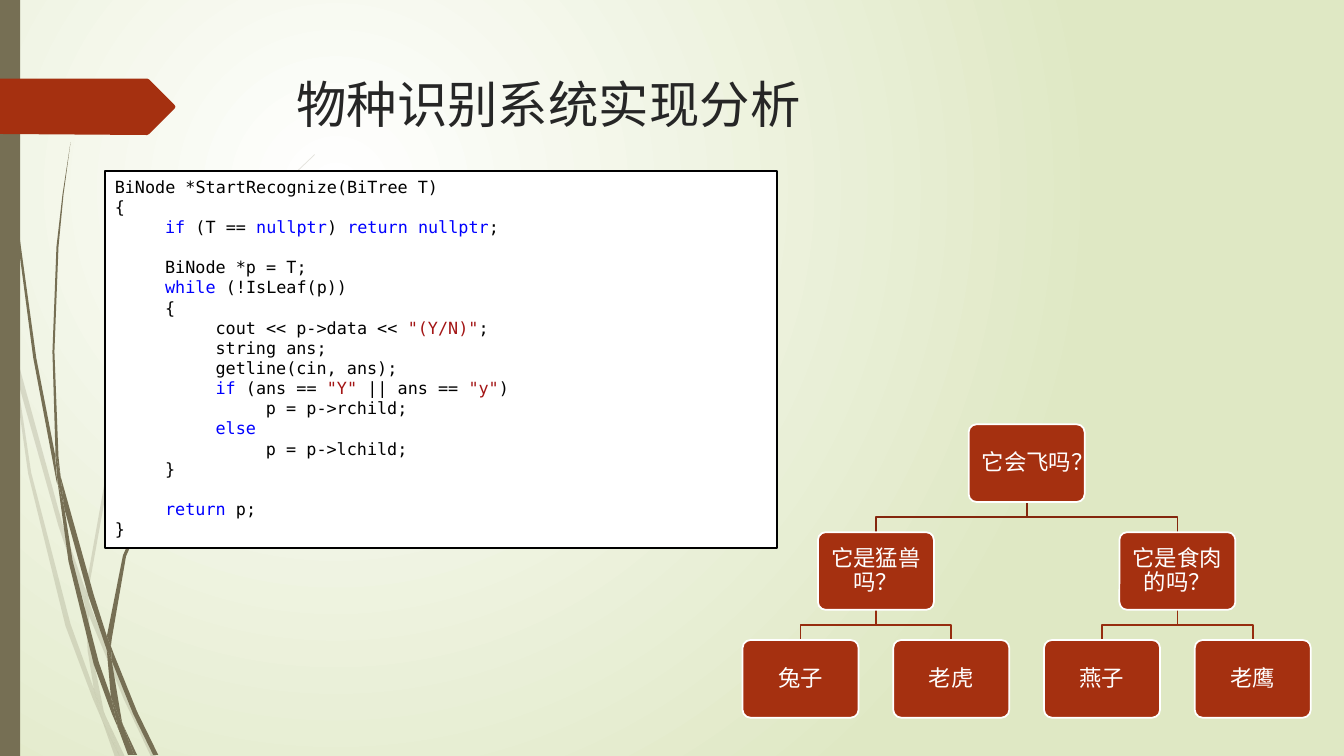
from lxml import etree
from pptx import Presentation, util as u
from pptx.dml.color import RGBColor
from pptx.enum import shapes, text
from pptx.oxml.ns import qn

WHITE = RGBColor(0xFF, 0xFF, 0xFF)
BLACK = RGBColor(0, 0, 0)
PALE_GREEN = RGBColor(0xDF, 0xE8, 0xC4)
OLIVE = RGBColor(0x76, 0x6F, 0x54)
RUST = RGBColor(0xA5, 0x30, 0x10)
UPPER_BRANCH = RGBColor(0x84, 0x26, 0x0D)
LOWER_BRANCH = RGBColor(0x96, 0x2C, 0x0F)
TITLE_GRAY = RGBColor(0x26, 0x26, 0x26)
KEYWORD = RGBColor(0, 0, 0xFF)
STRING = RGBColor(0xA3, 0x15, 0x15)

TITLE_FONT = {"name": "TeX Gyre Adventor", "size": u.Pt(36)}
CODE_FONT = {"name": "DejaVu Sans Mono", "size": u.Pt(12)}
NODE_FONT = {"name": "TeX Gyre Adventor", "size": u.Pt(16)}
HUNDREDTH = u.Inches(0.01)


def paint(shape, fill=None, line=None):
    """Set fill and outline colours; None means no paint."""
    shape.shadow.inherit = False
    if fill is None:
        shape.fill.background()
    else:
        shape.fill.solid()
        shape.fill.fore_color.rgb = fill
    if line is None:
        shape.line.fill.background()
    else:
        shape.line.color.rgb = line
        shape.line.width = u.Pt(1.25)


def write(paragraph, words, font, color):
    """Add a run with the given font values and colour."""
    run = paragraph.add_run()
    run.text = words
    for name, value in font.items():
        setattr(run.font, name, value)
    run.font.color.rgb = color


presentation = Presentation()
presentation.slide_width = u.Inches(13.33)
presentation.slide_height = u.Inches(7.5)
slide = presentation.slides.add_slide(presentation.slide_layouts[6])

# Radial background
background = slide.background.fill
background.gradient()
for stop, position, color in zip(background.gradient_stops, (0, 1), (WHITE, PALE_GREEN)):
    stop.position = position
    stop.color.rgb = color
gradient = slide._element.find(".//" + qn("a:gradFill"))
gradient.remove(gradient.find(qn("a:lin")))
radial = etree.SubElement(gradient, qn("a:path"), path="circle")
etree.SubElement(radial, qn("a:fillToRect"), l="50000", t="50000", r="100000", b="100000")

# Grass blades, in hundredths of an inch
faint_blades = [
    [(11, 350), (9, 322), (0, 282), (0, 299), (10, 344)],
    [(58, 522), (84, 599), (85, 586), (62, 520), (14, 345), (17, 376)],
    [(92, 607), (88, 596), (88, 610), (123, 694), (150, 751), (155, 751), (127, 692)],
    [(119, 751), (124, 751), (105, 711)],
    [(93, 683), (70, 619), (31, 469), (17, 376), (11, 350), (28, 470), (65, 621),
     (92, 693), (101, 714), (99, 707)],
    [(84, 599), (87, 646), (93, 683), (96, 692), (105, 711), (103, 706), (91, 646),
     (88, 610), (88, 608)],
    [(88, 584), (110, 462), (160, 349), (229, 245), (268, 198), (290, 175), (312, 154),
     (312, 153), (289, 175), (268, 197), (228, 244), (158, 348), (107, 461), (85, 584),
     (85, 586), (88, 596)],
    [(101, 714), (114, 751), (119, 751)],
    [(88, 608), (88, 610), (88, 596), (85, 586), (84, 599)],
    [(96, 692), (93, 683), (99, 707), (101, 714), (119, 751), (105, 711)],
]
solid_blades = [
    [(7, 110), (17, 233), (33, 355), (56, 477), (57, 481), (55, 457), (55, 453),
     (36, 355), (19, 232), (8, 109), (5, 48), (4, 0), (3, 0), (4, 48)],
    [(88, 592), (106, 645), (106, 631), (93, 590), (60, 472), (64, 505)],
    [(113, 649), (110, 641), (111, 656), (132, 708), (152, 749), (157, 749), (136, 706)],
    [(110, 691), (98, 657), (72, 556), (64, 505), (57, 477), (68, 557), (93, 659),
     (111, 708), (117, 722), (116, 717)],
    [(60, 472), (58, 453), (54, 349), (58, 245), (63, 193), (70, 141), (62, 193),
     (56, 245), (52, 349), (55, 449)],
    [(133, 749), (136, 749), (122, 719)],
    [(57, 477), (64, 505), (60, 472), (55, 449), (55, 453)],
    [(111, 633), (125, 552), (158, 476), (205, 406), (231, 374), (245, 359), (261, 344),
     (260, 344), (245, 358), (231, 373), (204, 405), (156, 474), (122, 551), (106, 631),
     (110, 641)],
    [(117, 722), (127, 749), (131, 749)],
    [(106, 645), (110, 691), (116, 706), (122, 719), (121, 716), (111, 656), (109, 651)],
    [(106, 645), (109, 651), (111, 656), (110, 641), (106, 631)],
    [(116, 706), (110, 691), (116, 717), (117, 722), (130, 749), (133, 749), (122, 719)],
]
for blades, opacity in ((faint_blades, 20), (solid_blades, 100)):
    for points in blades:
        builder = slide.shapes.build_freeform(*points[0], scale=HUNDREDTH)
        builder.add_line_segments(points[1:])
        blade = builder.convert_to_shape()
        paint(blade, OLIVE)
        if opacity < 100:
            color = blade._element.spPr.find(".//" + qn("a:srgbClr"))
            etree.SubElement(color, qn("a:alpha"), val=str(opacity * 1000))

# Left bar and page tag
bar = slide.shapes.add_shape(shapes.MSO_SHAPE.RECTANGLE, 0, 0, u.Inches(0.2), u.Inches(7.5))
paint(bar, OLIVE)
builder = slide.shapes.build_freeform(0, 78, scale=HUNDREDTH)
builder.add_line_segments([(146, 78), (148, 79), (173, 104), (174, 106), (173, 108),
                           (148, 133), (146, 134), (0, 133)])
paint(builder.convert_to_shape(), RUST)

# Title
title = slide.shapes.add_textbox(u.Inches(2.84), u.Inches(0.68), u.Inches(9.75), u.Inches(1.4))
title.text_frame.word_wrap = True
write(title.text_frame.paragraphs[0], "物种识别系统实现分析", TITLE_FONT, TITLE_GRAY)

# Code: indent level, lines skipped before, and text with `coloured` parts
code_lines = [
    (0, 0, "BiNode *StartRecognize(BiTree T)"),
    (0, 0, "{"),
    (1, 0, "`if` (T == `nullptr`) `return nullptr`;"),
    (1, 1, "BiNode *p = T;"),
    (1, 0, "`while` (!IsLeaf(p))"),
    (1, 0, "{"),
    (2, 0, 'cout << p->data << `"(Y/N)"`;'),
    (2, 0, "string ans;"),
    (2, 0, "getline(cin, ans);"),
    (2, 0, '`if` (ans == `"Y"` || ans == `"y"`)'),
    (3, 0, "p = p->rchild;"),
    (2, 0, "`else`"),
    (3, 0, "p = p->lchild;"),
    (1, 0, "}"),
    (1, 1, "`return` p;"),
    (0, 0, "}"),
]
code_box = slide.shapes.add_shape(shapes.MSO_SHAPE.RECTANGLE, u.Inches(1.04), u.Inches(1.7),
                                  u.Inches(6.67), u.Inches(3.74))
paint(code_box, WHITE, BLACK)
frame = code_box.text_frame
frame.word_wrap = True
frame.vertical_anchor = text.MSO_ANCHOR.TOP
for number, (level, skipped, line) in enumerate(code_lines):
    paragraph = frame.add_paragraph() if number else frame.paragraphs[0]
    paragraph.alignment = text.PP_ALIGN.LEFT
    paragraph.line_spacing = u.Pt(14.4)
    paragraph.space_before = u.Pt(14.4 * skipped)
    paragraph.level = level
    paragraph._p.get_or_add_pPr().set("marL", str(u.Inches(0.5 * level)))
    for index, part in enumerate(line.split("`")):
        if part:
            accent = STRING if part.startswith('"') else KEYWORD
            write(paragraph, part, CODE_FONT, accent if index % 2 else BLACK)

# Decision tree: each row is centred over pairs of the row below
NODE_WIDTH, NODE_HEIGHT = 1.15, 0.77
ROW_TOP, ROW_STEP = 4.21, 1.07
LEAF_CENTER, LEAF_STEP = 7.94, 1.495
tree_rows = [
    ["它会飞吗？"],
    ["它是猛兽吗？", "它是食肉的吗？"],
    ["兔子", "老虎", "燕子", "老鹰"],
]
centers = [[LEAF_CENTER + LEAF_STEP * i for i in range(4)]]
while len(centers[0]) > 1:
    row = centers[0]
    centers.insert(0, [(a + b) / 2 for a, b in zip(row[::2], row[1::2])])

for row, color in enumerate((UPPER_BRANCH, LOWER_BRANCH)):
    bottom = ROW_TOP + ROW_STEP * row + NODE_HEIGHT
    child_top = ROW_TOP + ROW_STEP * (row + 1)
    middle = (bottom + child_top) / 2
    for child, x in enumerate(centers[row + 1]):
        parent_x = centers[row][child // 2]
        builder = slide.shapes.build_freeform(u.Inches(parent_x), u.Inches(bottom))
        builder.add_line_segments([(u.Inches(a), u.Inches(b)) for a, b in (
            (parent_x, middle), (x, middle), (x, child_top))], close=False)
        paint(builder.convert_to_shape(), line=color)

for row, labels in enumerate(tree_rows):
    for x, label in zip(centers[row], labels):
        node = slide.shapes.add_shape(
            shapes.MSO_SHAPE.ROUNDED_RECTANGLE, u.Inches(x - NODE_WIDTH / 2),
            u.Inches(ROW_TOP + ROW_STEP * row), u.Inches(NODE_WIDTH), u.Inches(NODE_HEIGHT))
        node.adjustments[0] = 0.1
        paint(node, RUST, WHITE)
        frame = node.text_frame
        frame.word_wrap = True
        frame.vertical_anchor = text.MSO_ANCHOR.MIDDLE
        for side in ("left", "top", "right", "bottom"):
            setattr(frame, "margin_" + side, u.Inches(0.09))
        paragraph = frame.paragraphs[0]
        paragraph.alignment = text.PP_ALIGN.CENTER
        paragraph.line_spacing = 0.9
        write(paragraph, label, NODE_FONT, WHITE)

presentation.save("out.pptx")
